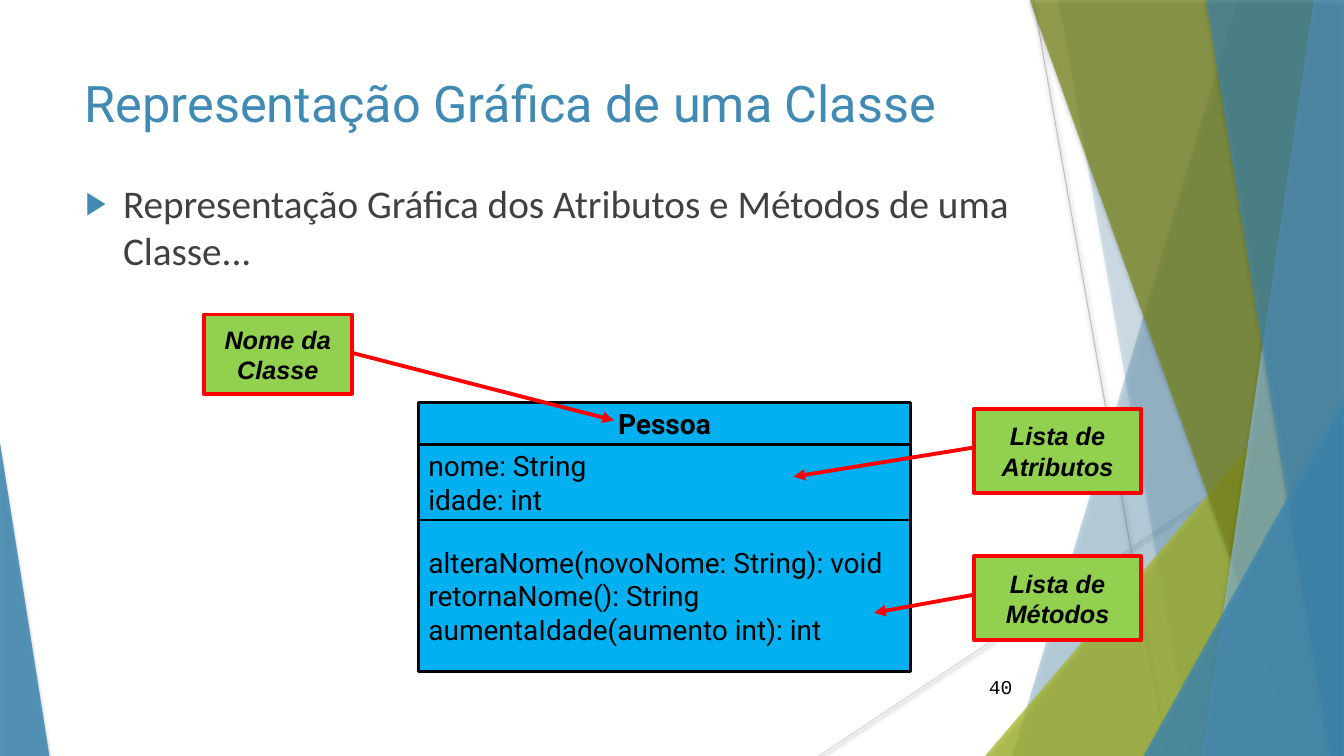
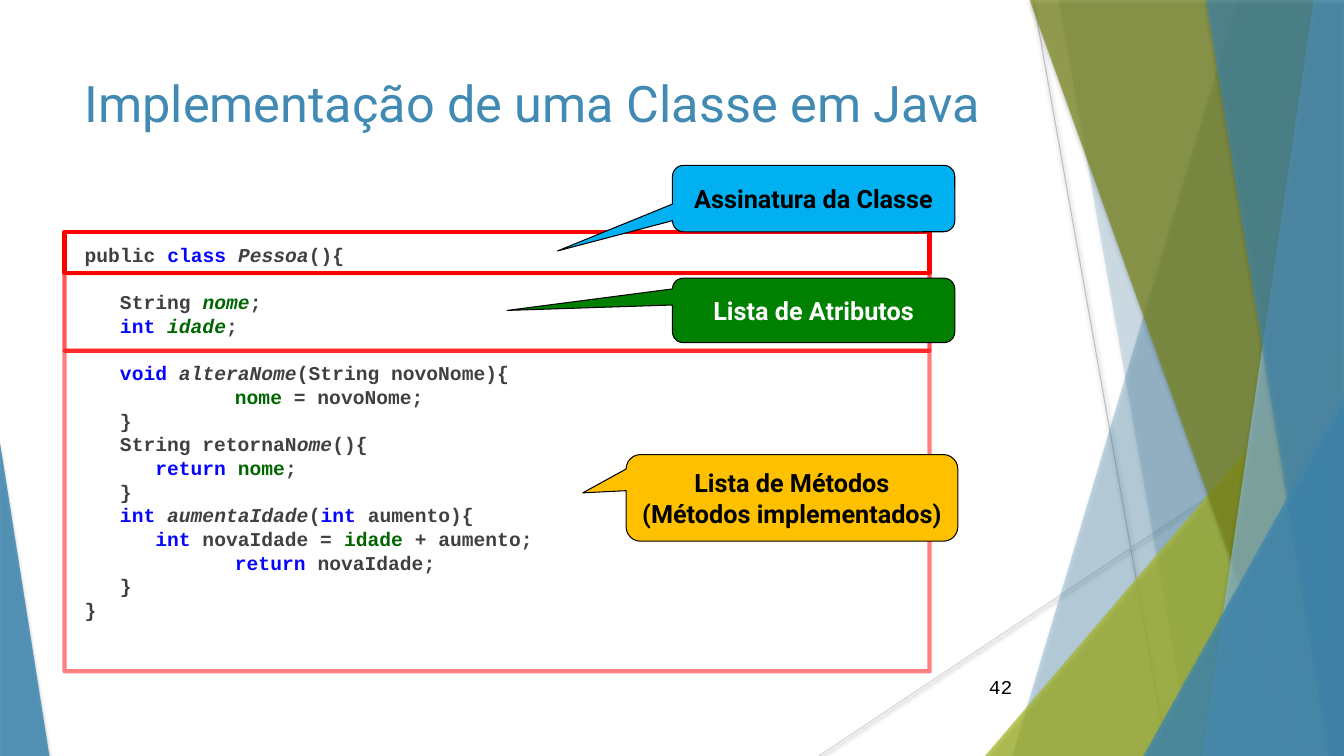
from lxml import etree
from pptx import Presentation
from pptx.dml.color import RGBColor
from pptx.enum.shapes import MSO_CONNECTOR, MSO_SHAPE
from pptx.enum.text import MSO_ANCHOR, MSO_AUTO_SIZE, PP_ALIGN
from pptx.oxml.ns import qn
from pptx.util import Inches, Pt

LEFT, CENTER, RIGHT = PP_ALIGN.LEFT, PP_ALIGN.CENTER, PP_ALIGN.RIGHT
TOP, MIDDLE = MSO_ANCHOR.TOP, MSO_ANCHOR.MIDDLE
RECT, TRIANGLE = MSO_SHAPE.RECTANGLE, MSO_SHAPE.ISOSCELES_TRIANGLE
LINE_CALLOUT, BALLOON = MSO_SHAPE.LINE_CALLOUT_1, MSO_SHAPE.ROUNDED_RECTANGULAR_CALLOUT

WIDTH, HEIGHT = 13.33, 7.5
MARGIN, CONTENT_WIDTH = 0.74, 9.4
COLORS = {
    "blue": "418AB3", "pale_blue": "8ABAD4", "lime": "A6B727", "olive": "7D891D",
    "gray": "BFBFBF", "light_gray": "D9D9D9", "text": "404040", "black": "000000",
    "white": "FFFFFF", "cyan": "00B0F0", "green": "92D050", "red": "FF0000",
    "dark_green": "008000", "amber": "FFC000", "keyword": "0505FF", "field": "006600",
}

# Shared decoration, back to front
RAYS = [((10.25, 0), (11.58, HEIGHT), "gray"), ((WIDTH, 4.03), (8.12, HEIGHT), "light_gray")]
# Bands reach the right edge: x at the top, x at the bottom, colour, opacity
# Peaks stand on the bottom edge: left, top, width, side of the tip, colour, opacity
BANDS_AND_PEAKS = [
    (12.28, 10.04, "blue", 30),
    (10.5, 11.82, "blue", 20),
    (9.77, 3.33, 3.56, 1, "lime", 72),
    (10.21, 12.91, "olive", 70),
    (13.03, 11.92, "pale_blue", 70),
    (11.96, 13.18, "blue", 65),
    (11.34, 3.93, 1.99, 1, "blue", 80),
    (0, 4.39, 0.49, 0, "blue", 85),
]

# Slide 40: class diagram
DIAGRAM_TITLE = "Representação Gráfica de uma Classe"
DIAGRAM_INTRO = "Representação Gráfica dos Atributos e Métodos de uma Classe..."
CLASS_BOX = (4.15, 3.99, 4.88)
COMPARTMENTS = [
    ("Pessoa", 0.42, CENTER, True),
    ("nome: String\nidade: int", 0.75, LEFT, False),
    ("alteraNome(novoNome: String): void\nretornaNome(): String\n"
     "aumentaIdade(aumento int): int", 1.5, LEFT, False),
]
# Text, box, start of the arrow, tip of the arrow
LABELS = [
    ("Nome da\nClasse", (2.02, 3.12, 1.47, 0.79), (3.49, 3.5), (6.09, 4.17)),
    ("Lista de\nAtributos", (9.66, 4.06, 1.66, 0.83), (9.66, 4.44), (7.87, 4.73)),
    ("Lista de\nMétodos", (9.66, 5.52, 1.66, 0.83), (9.66, 5.9), (8.67, 6.08)),
]

# Slide 42: Java code
CODE_TITLE = "Implementação de uma Classe em Java"
CODE_STYLES = {  # colour, italic
    "plain": ("text", False), "name": ("text", True), "keyword": ("keyword", False),
    "field": ("field", False), "new_field": ("field", True),
}
CODE_LINE, CODE_STEP, CODE_TAB = 16.9, 0.35, 1.49
# Indent, blank line above, pieces of code
CODE = [
    (0, False, [("public ", "plain"), ("class ", "keyword"), ("Pessoa", "name"), ("(){", "plain")]),
    (CODE_STEP, True, [("String ", "plain"), ("nome", "new_field"), (";", "plain")]),
    (CODE_STEP, False, [("int ", "keyword"), ("idade", "new_field"), (";", "plain")]),
    (CODE_STEP, True, [("void ", "keyword"), ("alteraNome", "name"),
                       ("(String novoNome){", "plain")]),
    (CODE_TAB, False, [("nome ", "field"), ("= novoNome;", "plain")]),
    (CODE_STEP, False, [("}", "plain")]),
    (CODE_STEP, False, [("String retornaN", "plain"), ("ome", "name"), ("(){", "plain")]),
    (2 * CODE_STEP, False, [("return ", "keyword"), ("nome", "field"), (";", "plain")]),
    (CODE_STEP, False, [("}", "plain")]),
    (CODE_STEP, False, [("int ", "keyword"), ("aumentaIdade", "name"), ("(", "plain"),
                        ("int ", "keyword"), ("aumento){", "plain")]),
    (2 * CODE_STEP, False, [("int ", "keyword"), ("novaIdade = ", "plain"), ("idade", "field"),
                            (" + aumento;", "plain")]),
    (CODE_TAB, False, [("return ", "keyword"), ("novaIdade;", "plain")]),
    (CODE_STEP, False, [("}", "plain")]),
    (0, False, [("}", "plain")]),
]
CODE_FRAME = (0.64, 2.3, 8.58)
CODE_SECTIONS = [(0.41, 100), (0.77, 65), (3.18, 50)]  # height, opacity
# Text, box, tip, fill, text colour
BALLOONS = [
    ("Lista de Atributos", (6.67, 2.76, 2.8, 0.64), (5.03, 3.08), "dark_green", "white"),
    ("Lista de Métodos\n(Métodos implementados)", (6.21, 4.51, 3.29, 0.86), (5.78, 4.89),
     "amber", "black"),
    ("Assinatura da Classe", (6.67, 1.64, 2.8, 0.66), (5.53, 2.49), "cyan", "black"),
]


def rgb(name):
    return RGBColor.from_string(COLORS[name])


def inches(values):
    return [Inches(v) for v in values]


def add_xml(parent, tag, **attributes):
    return etree.SubElement(parent, qn(tag), {k: str(v) for k, v in attributes.items()})


def set_opacity(shape, percent):
    for color in shape.element.spPr.iter(qn("a:srgbClr")):
        add_xml(color, "a:alpha", val=percent * 1000)


def add_shadow(shape, opacity, blur, distance):
    effects = add_xml(shape.element.spPr, "a:effectLst")
    shadow = add_xml(effects, "a:outerShdw", blurRad=Pt(blur), dist=Pt(distance),
                     dir=5400000, algn="ctr", rotWithShape=0)
    color = add_xml(shadow, "a:srgbClr", val=COLORS["black"])
    add_xml(color, "a:alpha", val=opacity * 1000)


def style_font(font, face, size, color, bold=False, italic=False):
    font.name, font.size, font.bold, font.italic = face, Pt(size), bold, italic
    font.color.rgb = rgb(color)


def write(frame, text, face, size, color, align=LEFT, anchor=TOP, wrap=True, **weight):
    frame.text = text
    frame.word_wrap, frame.vertical_anchor = wrap, anchor
    frame.auto_size = MSO_AUTO_SIZE.NONE
    for paragraph in frame.paragraphs:
        paragraph.alignment = align
        for run in paragraph.runs:
            style_font(run.font, face, size, color, **weight)


def add_box(slide, kind, box, fill, line, line_width):
    shape = slide.shapes.add_shape(kind, *inches(box))
    shape.shadow.inherit = False
    if fill:
        shape.fill.solid()
        shape.fill.fore_color.rgb = rgb(fill)
    else:
        shape.fill.background()
    if line:
        shape.line.color.rgb = rgb(line)
        shape.line.width = Pt(line_width)
    else:
        shape.line.fill.background()
    return shape


def stack(origin, heights):
    """Boxes of one width, each starting where the one above ends."""
    left, top, width = origin
    for height in heights:
        yield left, top, width, height
        top += height


def add_band(slide, top_x, bottom_x, color):
    corners = [(top_x, -0.01), (WIDTH, -0.01), (WIDTH, HEIGHT), (bottom_x, HEIGHT)]
    points = [tuple(inches(corner)) for corner in corners]
    builder = slide.shapes.build_freeform(*points[0])
    builder.add_line_segments(points[1:], close=True)
    band = builder.convert_to_shape()
    band.fill.solid()
    band.fill.fore_color.rgb = rgb(color)
    band.line.fill.background()
    return band


def decorate(layout, slide):
    """Draw the rays, bands and peaks, then hand them to the layout."""
    parts = []
    for start, end, color in RAYS:
        ray = slide.shapes.add_connector(MSO_CONNECTOR.STRAIGHT, *inches(start + end))
        ray.line.color.rgb, ray.line.width = rgb(color), Pt(0.75)
        add_shadow(ray, 38, 3.1, 1.6)
        parts.append(ray)
    for *place, color, opacity in BANDS_AND_PEAKS:
        if len(place) == 2:
            part = add_band(slide, *place, color)
        else:
            left, top, width, tip = place
            part = add_box(slide, TRIANGLE, (left, top, width, HEIGHT - top), color, None, 0)
            part.adjustments[0] = tip
            part.element.spPr.remove(part.element.spPr.find(qn("a:effectLst")))
        set_opacity(part, opacity)
        add_shadow(part, 35, 3, 2)
        parts.append(part)
    for index, part in enumerate(parts):
        next(part.element.iter(qn("p:cNvPr"))).set("id", str(100 + index))
        layout.shapes.element.insert(2 + index, part.element)


def place(shape, box):
    shape.left, shape.top, shape.width, shape.height = inches(box)


def add_slide(prs, layout, title, number, body_box):
    slide = prs.slides.add_slide(layout)
    write(slide.shapes.title.text_frame, title, "Roboto", 36, "blue")
    body = slide.placeholders[1]
    place(body, body_box)
    page = slide.shapes.add_textbox(*inches((9.39, 6.61, 0.75, 0.4)))
    write(page.text_frame, number, "Courier New", 14, "black", RIGHT, MIDDLE)
    return slide, body.text_frame


def build_diagram(slide, intro):
    write(intro, DIAGRAM_INTRO, "Calibri", 28, "text")
    paragraph = intro.paragraphs[0]
    paragraph.space_before = Pt(10)
    props = paragraph._p.get_or_add_pPr()
    props.set("marL", str(Inches(0.38)))
    props.set("indent", str(Inches(-0.37)))
    add_xml(add_xml(props, "a:buClr"), "a:srgbClr", val=COLORS["blue"])
    add_xml(props, "a:buSzPct", val=80000)
    add_xml(props, "a:buChar", char="▶")

    # Class box
    boxes = stack(CLASS_BOX, [height for _, height, _, _ in COMPARTMENTS])
    for (text, _, align, bold), box in zip(COMPARTMENTS, boxes):
        compartment = add_box(slide, RECT, box, "cyan", "black", 2)
        write(compartment.text_frame, text, "Roboto", 20, "black", align, MIDDLE, bold=bold)

    # Labels with arrows
    for text, box, start, tip in LABELS:
        label = add_box(slide, LINE_CALLOUT, box, "green", "red", 2.75)
        left, top, width, height = box
        ends = [((y - top) / height, (x - left) / width) for x, y in (start, tip)]
        for index, share in enumerate(ends[0] + ends[1]):
            label.adjustments[index] = share
        add_xml(label.line._get_or_add_ln(), "a:tailEnd", type="triangle")
        write(label.text_frame, text, "Arial", 18, "black", CENTER, MIDDLE, False,
              bold=True, italic=True)


def build_code(slide, listing):
    listing.auto_size, listing.vertical_anchor = MSO_AUTO_SIZE.NONE, TOP
    for index, (indent, gap, pieces) in enumerate(CODE):
        line = listing.add_paragraph() if index else listing.paragraphs[0]
        line.line_spacing = Pt(CODE_LINE)
        line.space_before = Pt(CODE_LINE if gap else 0)
        props = line._p.get_or_add_pPr()
        props.set("marL", str(Inches(indent)))
        props.set("indent", "0")
        add_xml(props, "a:buNone")
        for text, style in pieces:
            run = line.add_run()
            run.text = text
            color, italic = CODE_STYLES[style]
            style_font(run.font, "Courier New", 14, color, True, italic)

    # Frames around the parts of the class
    boxes = stack(CODE_FRAME, [height for height, _ in CODE_SECTIONS])
    for (_, opacity), box in zip(CODE_SECTIONS, boxes):
        set_opacity(add_box(slide, RECT, box, None, "red", 3), opacity)

    # Balloons
    for text, box, (tip_x, tip_y), fill, color in BALLOONS:
        balloon = add_box(slide, BALLOON, box, fill, "black", 0.75)
        left, top, width, height = box
        balloon.adjustments[0] = (tip_x - left) / width - 0.5
        balloon.adjustments[1] = (tip_y - top) / height - 0.5
        write(balloon.text_frame, text, "Roboto", 18, color, CENTER, MIDDLE, False, bold=True)


def main():
    prs = Presentation()
    prs.slide_width, prs.slide_height = inches((WIDTH, HEIGHT))
    layout = prs.slide_layouts[1]
    place(layout.placeholders[0], (MARGIN, 0.67, CONTENT_WIDTH, 1.44))

    diagram, intro = add_slide(prs, layout, DIAGRAM_TITLE, "40", (MARGIN, 1.73, CONTENT_WIDTH, 4.88))
    decorate(layout, diagram)
    build_diagram(diagram, intro)

    code, listing = add_slide(prs, layout, CODE_TITLE, "42", (MARGIN, 2.36, CONTENT_WIDTH, 4.24))
    build_code(code, listing)
    prs.save("out.pptx")


if __name__ == "__main__":
    main()
